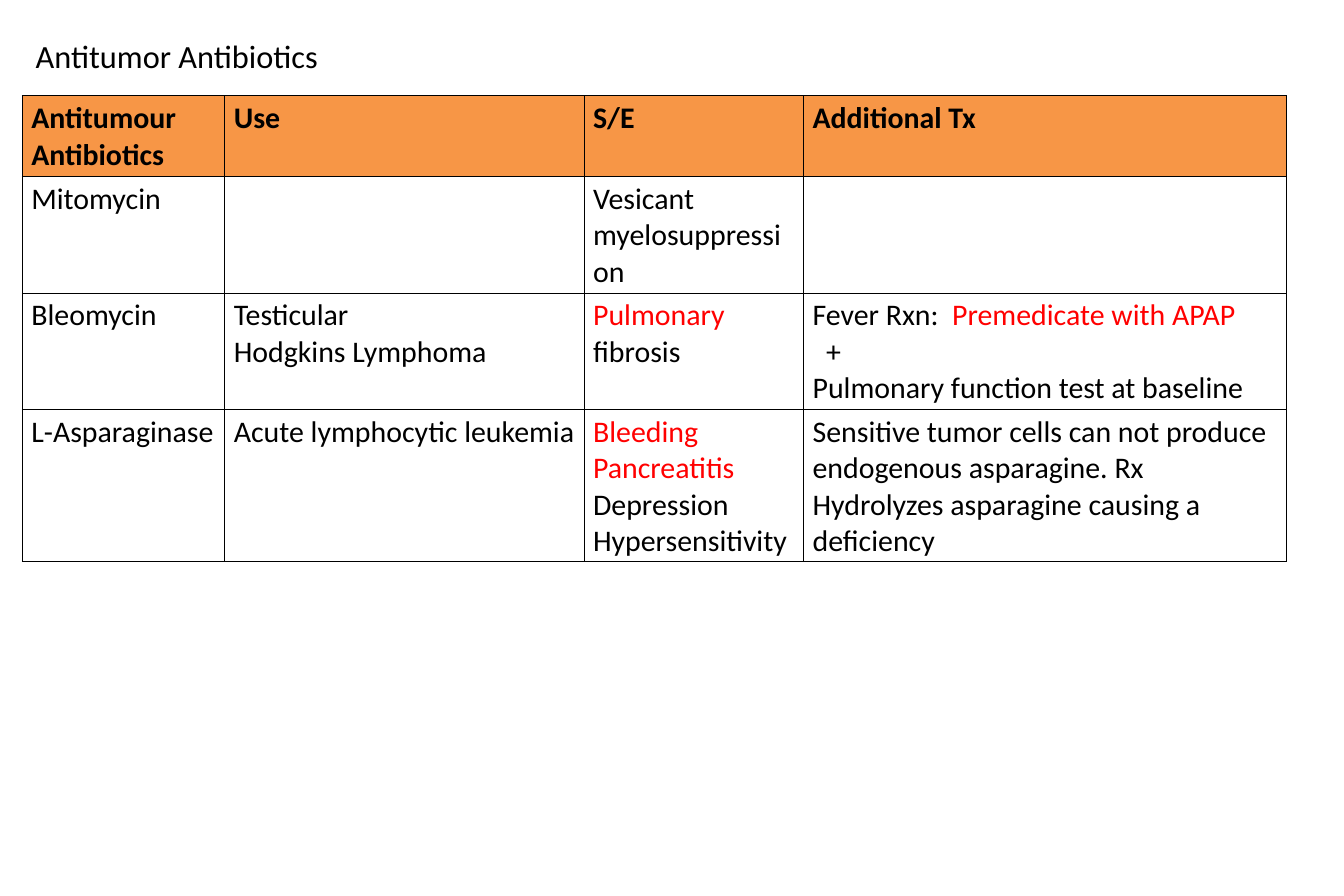
from lxml import etree
from pptx import Presentation
from pptx.dml.color import RGBColor
from pptx.enum.text import MSO_AUTO_SIZE
from pptx.oxml.ns import qn
from pptx.util import Inches, Pt

FIT_SHAPE = MSO_AUTO_SIZE.SHAPE_TO_FIT_TEXT
BLACK = RGBColor(0x00, 0x00, 0x00)
RED = RGBColor(0xFF, 0x00, 0x00)
ORANGE = RGBColor(0xF7, 0x96, 0x46)
WHITE = RGBColor(0xFF, 0xFF, 0xFF)
FONT = "Calibri"

COL_WIDTHS = [2.26, 4.01, 2.45, 5.39]
ROW_HEIGHTS = [0.9, 1.3, 1.3, 1.7]
PLUS_INDENT = 0.15

# A cell is a list of paragraphs; a paragraph is a string or a list of (text, colour) runs.
DRUGS = [
    [["Antitumour", "Antibiotics"], ["Use"], ["S/E"], ["Additional Tx"]],
    [["Mitomycin"], [], ["Vesicant", "myelosuppression"], []],
    [["Bleomycin"],
     ["Testicular", "Hodgkins Lymphoma"],
     [[("Pulmonary", RED), (" fibrosis", BLACK)]],
     [[("Fever Rxn:  ", BLACK), ("Premedicate with APAP", RED)],
      "+",
      "Pulmonary function test at baseline"]],
    [["L-Asparaginase"],
     ["Acute lymphocytic leukemia"],
     [[("Bleeding", RED)], [("Pancreatitis", RED)], "Depression", "Hypersensitivity"],
     ["Sensitive tumor cells can not produce endogenous asparagine. "
      "Rx Hydrolyzes asparagine causing a deficiency"]],
]


def add_run(p, text, size, color=BLACK, bold=False):
    r = p.add_run()
    r.text = text
    r.font.name = FONT
    r.font.size = Pt(size)
    r.font.bold = bold
    r.font.color.rgb = color


def add_title(slide, left, top, width, height):
    s = slide.shapes.add_textbox(Inches(left), Inches(top), Inches(width), Inches(height))
    tf = s.text_frame
    tf.word_wrap = False
    tf.auto_size = FIT_SHAPE
    add_run(tf.paragraphs[0], "Antitumor Antibiotics", 26)


def set_borders(cell, color=BLACK, width=1):
    tc_pr = cell._tc.get_or_add_tcPr()
    for i, side in enumerate(("a:lnL", "a:lnR", "a:lnT", "a:lnB")):
        ln = etree.Element(qn(side), w=str(Pt(width)))
        fill = etree.SubElement(ln, qn("a:solidFill"))
        etree.SubElement(fill, qn("a:srgbClr"), val=str(color))
        tc_pr.insert(i, ln)


def fill_cell(cell, paragraphs, header):
    cell.fill.solid()
    cell.fill.fore_color.rgb = ORANGE if header else WHITE
    set_borders(cell)
    tf = cell.text_frame
    for i, runs in enumerate(paragraphs):
        p = tf.add_paragraph() if i else tf.paragraphs[0]
        if runs == "+":
            p._p.get_or_add_pPr().set("marL", str(Inches(PLUS_INDENT)))
        if isinstance(runs, str):
            runs = [(runs, BLACK)]
        for text, color in runs:
            add_run(p, text, 24, color, header)


def add_drug_table(slide, left, top):
    table = slide.shapes.add_table(
        len(ROW_HEIGHTS), len(COL_WIDTHS), Inches(left), Inches(top),
        Inches(sum(COL_WIDTHS)), Inches(sum(ROW_HEIGHTS))).table
    for col, width in zip(table.columns, COL_WIDTHS):
        col.width = Inches(width)
    for i, (row, height) in enumerate(zip(table.rows, ROW_HEIGHTS)):
        row.height = Inches(height)
        for cell, paragraphs in zip(row.cells, DRUGS[i]):
            fill_cell(cell, paragraphs, header=i == 0)


def main():
    prs = Presentation()
    prs.slide_width = Inches(15)
    prs.slide_height = Inches(10)
    slide = prs.slides.add_slide(prs.slide_layouts[6])
    add_title(slide, 0.3, 0.35, 3.39, 0.54)
    add_drug_table(slide, 0.25, 1.07)
    prs.save("out.pptx")


if __name__ == "__main__":
    main()
